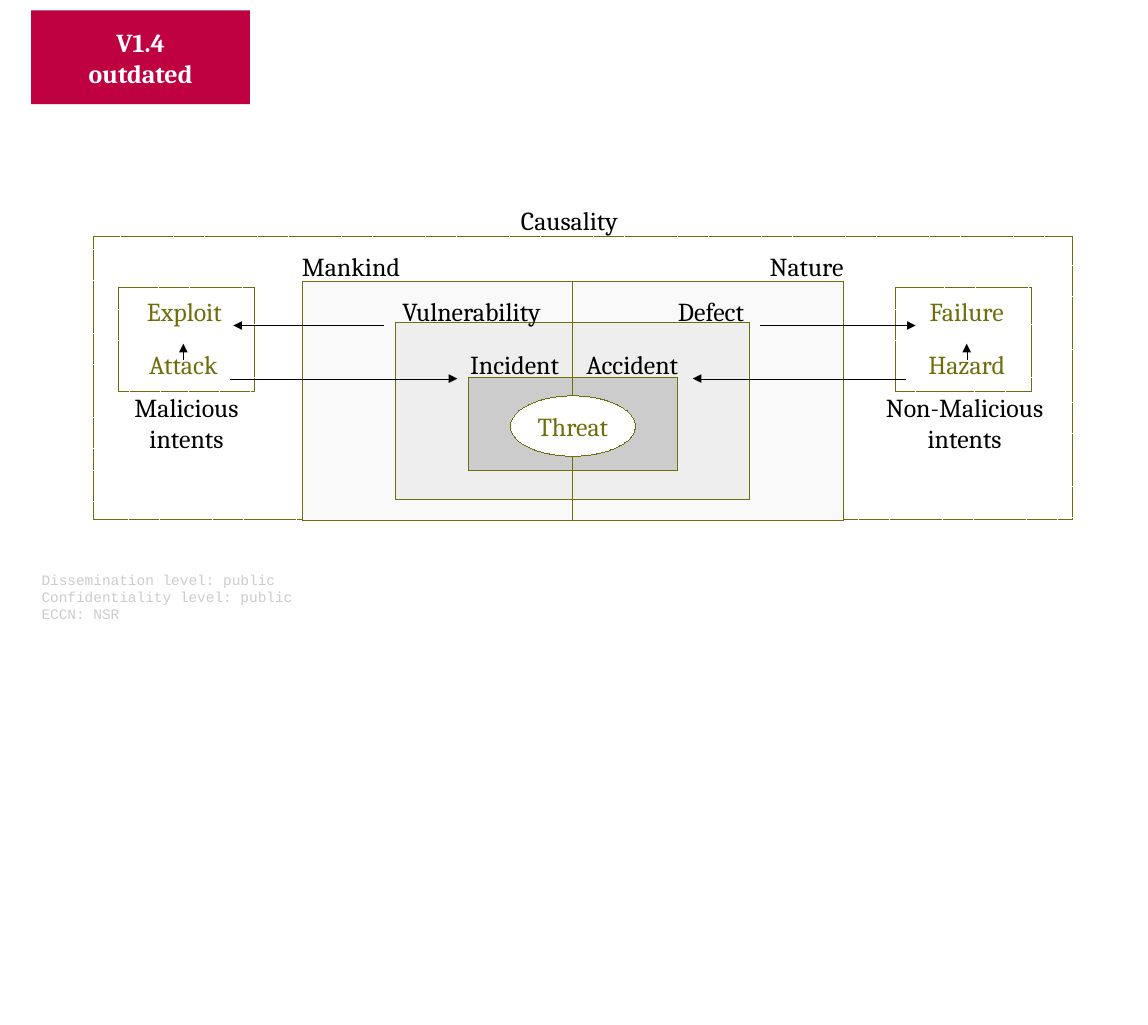
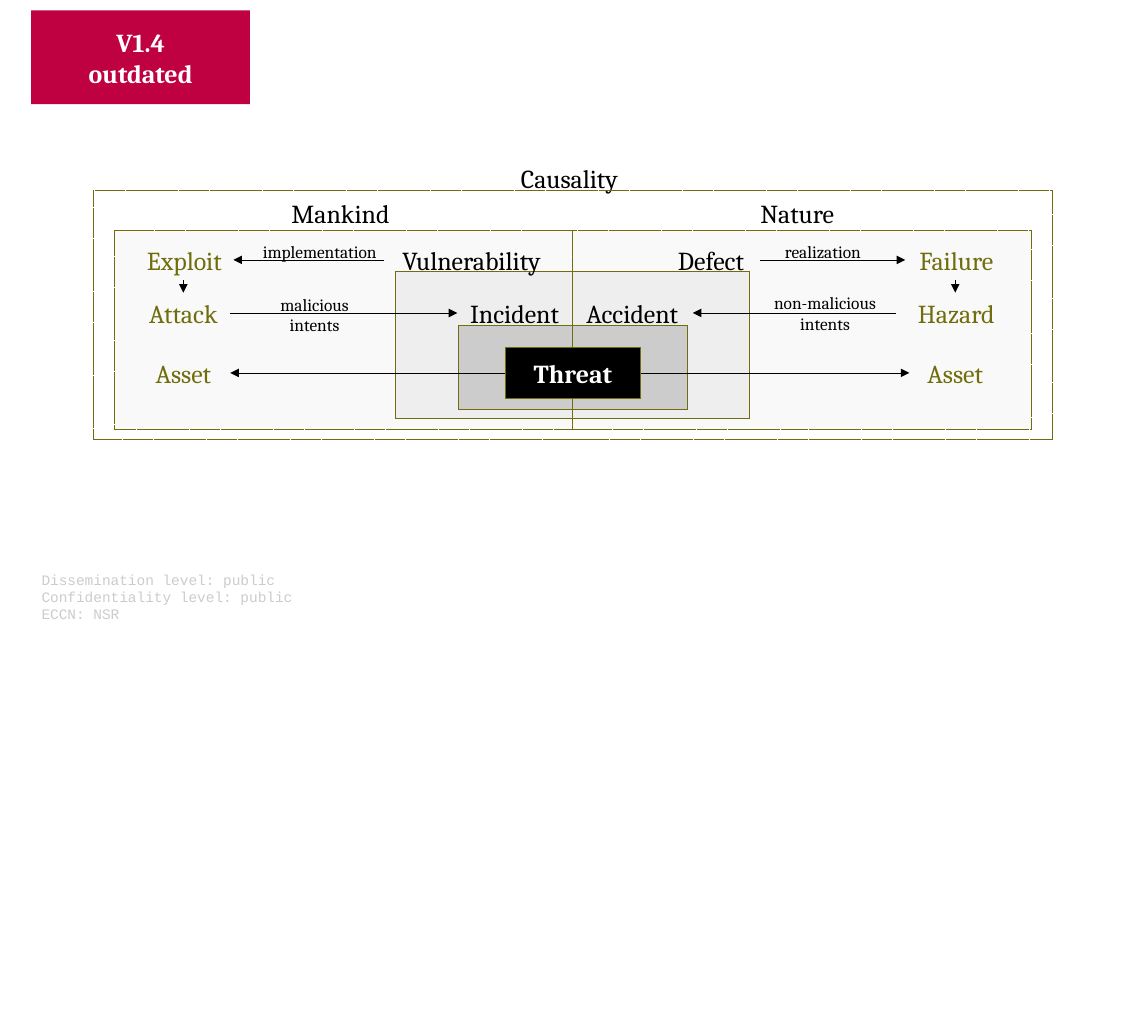
"""Builds two threat causality diagrams on a grid of tenths of an inch."""
from lxml import etree
from pptx import Presentation
from pptx.dml.color import RGBColor
from pptx.enum.dml import MSO_LINE
from pptx.enum.shapes import MSO_CONNECTOR, MSO_SHAPE
from pptx.enum.text import MSO_ANCHOR, MSO_AUTO_SIZE, PP_ALIGN
from pptx.oxml.ns import qn
from pptx.util import Inches, Pt

RECT, OVAL = MSO_SHAPE.RECTANGLE, MSO_SHAPE.OVAL
STRAIGHT = MSO_CONNECTOR.STRAIGHT
DASH = MSO_LINE.SQUARE_DOT
TOP, MIDDLE = MSO_ANCHOR.TOP, MSO_ANCHOR.MIDDLE
LEFT, CENTER, RIGHT = PP_ALIGN.LEFT, PP_ALIGN.CENTER, PP_ALIGN.RIGHT
FIXED = MSO_AUTO_SIZE.NONE

BLACK = RGBColor(0x00, 0x00, 0x00)
WHITE = RGBColor(0xFF, 0xFF, 0xFF)
OLIVE = RGBColor(0x70, 0x6E, 0x0C)
CRIMSON = RGBColor(0xBF, 0x00, 0x41)
PALE = RGBColor(0xF9, 0xF9, 0xF9)
LIGHT = RGBColor(0xEE, 0xEE, 0xEE)
SILVER = RGBColor(0xCC, 0xCC, 0xCC)

TITLE_ONLY = 5
AXIS = 55
ROW_GAP = 5.1
HAIRLINE = Pt(0.01)
LABEL = {"name": "Cambria", "size": Pt(17.9), "bold": False}
STRONG = {**LABEL, "bold": True}
NOTE = {**LABEL, "size": Pt(12)}
MARKING = {**LABEL, "name": "Courier New", "size": Pt(10)}
FLOWING = {"word_wrap": True, "auto_size": FIXED, "vertical_anchor": TOP}
CENTRED = {"word_wrap": False, "auto_size": FIXED, "vertical_anchor": MIDDLE}


def cells(*counts):
    """Convert grid cells to slide lengths."""
    return [Inches(count / 10) for count in counts]


def apply(target, settings):
    """Set attributes from a dict of format values."""
    for key, value in settings.items():
        setattr(target, key, value)


def write(frame, lines, font, color, align=CENTER, layout=FLOWING):
    """Fill a text frame with one paragraph per line."""
    apply(frame, layout)
    for index, line in enumerate(lines.split("\n")):
        paragraph = frame.add_paragraph() if index else frame.paragraphs[0]
        paragraph.alignment = align
        run = paragraph.add_run()
        run.text = line
        apply(run.font, font)
        run.font.color.rgb = color


def label(slide, lines, area, color=BLACK, align=CENTER, font=LABEL):
    """Place free text on the grid."""
    frame = slide.shapes.add_textbox(*cells(*area)).text_frame
    write(frame, lines, font, color, align)


def box(slide, area, fill=None, line=OLIVE, dash=None, kind=RECT):
    """Draw an outlined or filled shape and return it."""
    shape = slide.shapes.add_shape(kind, *cells(*area))
    shape.shadow.inherit = False
    if fill is None:
        shape.fill.background()
    else:
        shape.fill.solid()
        shape.fill.fore_color.rgb = fill
    if line is None:
        shape.line.fill.background()
    else:
        shape.line.color.rgb = line
        apply(shape.line, {"width": HAIRLINE, "dash_style": dash})
    return shape


def halves(slide, width, top, height, fill, dash=None):
    """Draw a zone as two boxes that meet at the axis."""
    for left in (AXIS - width, AXIS):
        box(slide, (left, top, width, height), fill, dash=dash)


def arrow(slide, *ends):
    """Draw a hairline with an arrowhead at its end."""
    link = slide.shapes.add_connector(STRAIGHT, *cells(*ends))
    link.line.color.rgb = BLACK
    link.line.width = HAIRLINE
    etree.SubElement(link.line._ln, qn("a:tailEnd"), type="triangle")
    etree.SubElement(link._element.spPr, qn("a:effectLst"))


def add_base(deck, title_top, height):
    """Add a slide with its title, version badge and marking."""
    slide = deck.slides.add_slide(deck.slide_layouts[TITLE_ONLY])
    title = slide.shapes.title
    places = ("left", "top", "width", "height")
    apply(title, dict(zip(places, cells(49, title_top, 12, height))))
    write(title.text_frame, "Causality", LABEL, BLACK, LEFT)
    badge = box(slide, (3, 1, 21, 9), CRIMSON, line=None)
    write(badge.text_frame, "V1.4\noutdated", STRONG, WHITE, layout=CENTRED)
    marking = "Dissemination level: public\nConfidentiality level: public\nECCN: NSR"
    label(slide, marking, (3, 54.3, 58.1, 5.8), SILVER, LEFT, MARKING)
    return slide


def add_causes(slide, top, height, drop, right):
    """Add the two rows of causes, with arrows that sit a drop below their tops."""
    lower = top + ROW_GAP
    for text, left, row, width, color, align in (
        ("Vulnerability", 36.9, top, 16, BLACK, RIGHT),
        ("Incident", 43.9, lower, 11, BLACK, CENTER),
        ("Defect", 64.1, top, 8.9, BLACK, LEFT),
        ("Accident", 54.9, lower, 11.6, BLACK, CENTER),
        ("Exploit", 12.9, top, 9.6, OLIVE, CENTER),
        ("Attack", 13.2, lower, 8.8, OLIVE, CENTER),
        ("Failure", right + 0.9, top, 9.8, OLIVE, CENTER),
        ("Hazard", right, lower, 11.6, OLIVE, CENTER),
    ):
        label(slide, text, (left, row, width, height), color, align)
    for start, end, row in (
        (36.9, 22.4, top), (22.1, 43.9, lower),
        (73, right + 0.9, top), (right, 66.5, lower),
    ):
        arrow(slide, start, row + drop, end, row + drop)


def add_realms(slide, top, height, mankind, nature):
    """Add the names of the two halves."""
    for text, left, width in (("Mankind", mankind, 12), ("Nature", nature, 10)):
        label(slide, text, (left, top, width, height), align=LEFT)


def add_threat(slide, area, kind, fill, color, font):
    """Add the threat at the centre of the zones."""
    threat = box(slide, area, fill, kind=kind)
    write(threat.text_frame, "Threat", font, color, layout=CENTRED)


def build_intents(deck):
    """Build the diagram with intents around causes."""
    slide = add_base(deck, 19.1, 6.8)
    box(slide, (9, 22.7, 94, 27.2), dash=DASH)
    halves(slide, 26, 27, 23, PALE)
    halves(slide, 17, 31, 17, LIGHT)
    halves(slide, 10, 36.2, 9, SILVER)
    for left in (11.4, 86):
        box(slide, (left, 27.6, 13, 10), dash=DASH)
    add_realms(slide, 23.6, 6.8, 28, 72.9)
    add_causes(slide, 27.9, 6.8, 3.35, 87)
    for column in (17.6, 92.8):
        arrow(slide, column, 34.6, column, 33)
    label(slide, "Malicious intents", (10.4, 37.1, 15, 6.9))
    label(slide, "Non-Malicious intents", (83.6, 37.1, 18, 9.7))
    add_threat(slide, (49, 38, 12, 5.8), OVAL, WHITE, OLIVE, LABEL)


def build_assets(deck):
    """Build the diagram that leads from threat to assets."""
    slide = add_base(deck, 15.1, 3.9)
    box(slide, (9, 18.3, 92, 23.9), dash=DASH)
    halves(slide, 44, 22.1, 19.1, PALE, DASH)
    halves(slide, 17, 26.1, 14.1, LIGHT)
    halves(slide, 11, 31.3, 8, SILVER)
    add_realms(slide, 18.5, 3.9, 27, 72)
    add_causes(slide, 23, 3.9, 1.95, 86)
    for column in (17.6, 91.7):
        arrow(slide, column, 26.9, column, 28.1)
    for text, left, top, width, height in (
        ("implementation", 23.7, 22.7, 14, 2.9),
        ("realization", 72, 22.7, 14, 2.9),
        ("malicious\nintents", 24.4, 27.7, 11.6, 4.9),
        ("non-malicious\nintents", 72.7, 27.6, 13, 4.9),
    ):
        label(slide, text, (left, top, width, height), font=NOTE)
    for left, start, end in ((13.2, 48.5, 22.1), (87.3, 61.5, 87.3)):
        label(slide, "Asset", (left, 33.8, 8.8, 3.9), OLIVE)
        arrow(slide, start, 35.8, end, 35.8)
    add_threat(slide, (48.5, 33.4, 13, 4.9), RECT, BLACK, WHITE, STRONG)


def main():
    """Build and save the deck."""
    deck = Presentation()
    deck.slide_width, deck.slide_height = Inches(11.02), Inches(9.84)
    build_intents(deck)
    build_assets(deck)
    deck.save("out.pptx")


main()
